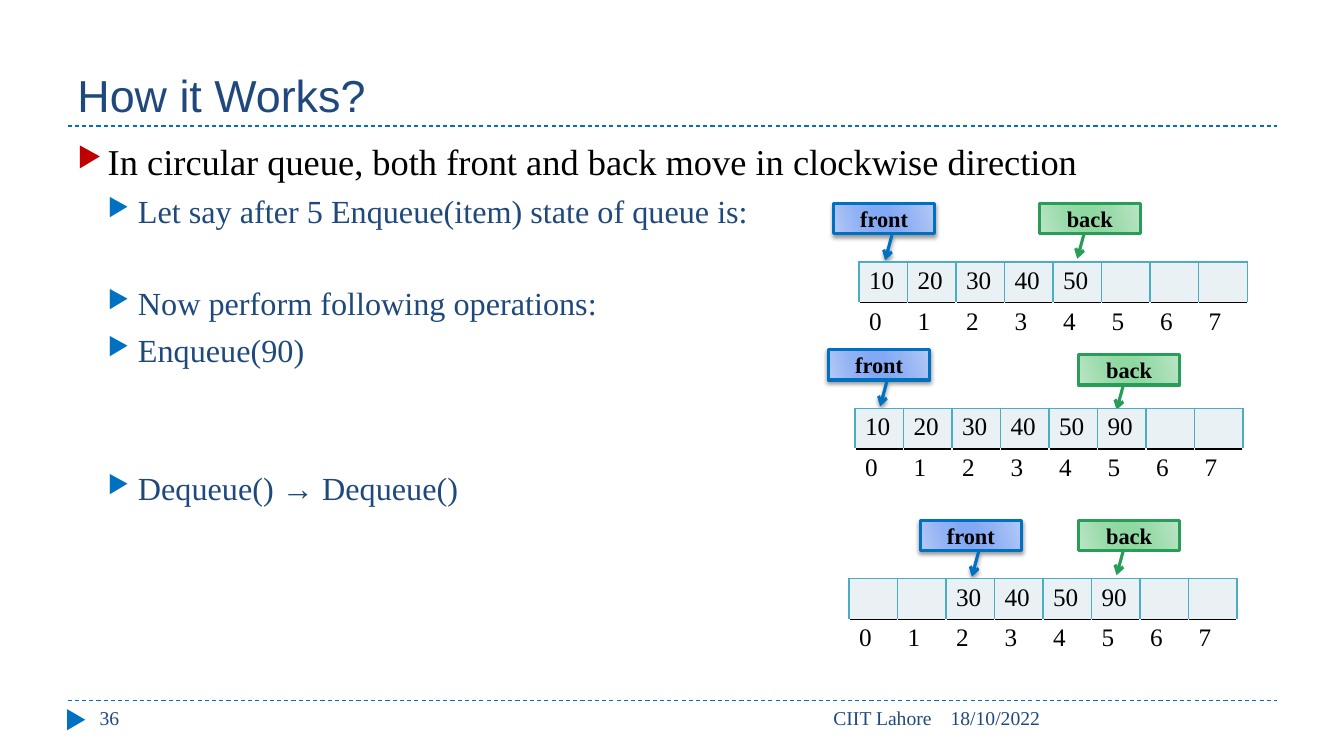
from lxml.etree import SubElement
from pptx import Presentation
from pptx.dml.color import RGBColor
from pptx.enum.dml import MSO_LINE
from pptx.enum.shapes import MSO_CONNECTOR, MSO_SHAPE
from pptx.enum.text import MSO_ANCHOR, PP_ALIGN
from pptx.oxml.ns import qn
from pptx.util import Inches, Pt

SERIF = "Times New Roman"
BLUE, NAVY, BLACK, RED = "0070C0", "1F497D", "000000", "C00000"
GREEN, TEAL, PALE = "279D57", "4BACC6", "E9F1F5"
FRONT_SHADES = ("B4C9F6", "90B1F4", "83A9F4")
BACK_SHADES = ("BBE4C5", "9BDBAB", "8FD8A1")
FRONT_POINTER = (1.043, 0.423, 1.874, 0.49)
BACK_POINTER = (0.994, 0.557, 1.824, 0.625)


def color(value):
    return RGBColor.from_string(value)


def element(parent, tag, **attributes):
    return SubElement(parent, qn(tag), {name: str(value) for name, value in attributes.items()})


class QueueSlide:
    """Draws the styled elements of the circular queue slide."""

    def __init__(self, slide):
        self.shapes = slide.shapes

    def span(self, para, text, size, ink, font=SERIF, bold=False):
        span = para.add_run()
        span.text = text
        span.font.name = font
        span.font.size = Pt(size)
        span.font.bold = bold
        span.font.color.rgb = color(ink)

    def box(self, left, top, width, height, anchor=MSO_ANCHOR.TOP):
        frame = self.shapes.add_textbox(Inches(left), Inches(top), Inches(width), Inches(height)).text_frame
        frame.word_wrap = True
        frame.vertical_anchor = anchor
        return frame

    def label(self, area, text, size, font=SERIF, align=PP_ALIGN.LEFT, anchor=MSO_ANCHOR.TOP):
        para = self.box(*area, anchor).paragraphs[0]
        para.alignment = align
        self.span(para, text, size, NAVY, font)

    def bullets(self, area, items):
        frame = self.box(*area)
        for index, (level, text, space) in enumerate(items):
            para = frame.add_paragraph() if index else frame.paragraphs[0]
            para.level = level
            if index:
                para.space_before = Pt(space)
            properties = para._p.get_or_add_pPr()
            properties.set("marL", str(Inches(0.3 * (level + 1))))
            properties.set("indent", str(Inches(-0.3)))
            tint = element(properties, "a:buClr")
            element(tint, "a:srgbClr", val=BLUE if level else RED)
            element(properties, "a:buSzPct", val=76000)
            element(properties, "a:buChar", char="▶")
            self.span(para, text, 23 if level else 26, NAVY if level else BLACK)

    def rule(self, top):
        line = self.shapes.add_connector(MSO_CONNECTOR.STRAIGHT, Inches(0.67), Inches(top), Inches(12.67), Inches(top))
        line.line.color.rgb = color(BLUE)
        line.line.width = Pt(0.75)
        line.line.dash_style = MSO_LINE.DASH
        element(line._element.spPr, "a:effectLst")

    def marker(self, left, top, width, height):
        triangle = self.shapes.add_shape(
            MSO_SHAPE.ISOSCELES_TRIANGLE, Inches(left), Inches(top), Inches(width), Inches(height))
        triangle.rotation = 90
        triangle.shadow.inherit = False
        triangle.fill.solid()
        triangle.fill.fore_color.rgb = color(BLUE)
        triangle.line.fill.background()

    def callout(self, left, top, text, shades, edge, pointer, shadow=False):
        shape = self.shapes.add_shape(
            MSO_SHAPE.LINE_CALLOUT_1, Inches(left), Inches(top), Inches(1), Inches(0.3))
        for index, value in enumerate(pointer):
            shape.adjustments[index] = value
        properties = shape._element.spPr
        properties.find(qn("a:xfrm")).set("flipH", "1")

        shape.fill.gradient()
        shape.fill.gradient_angle = 344
        stops = properties.find(qn("a:gradFill")).find(qn("a:gsLst"))
        for stop in list(stops):
            stops.remove(stop)
        for position, shade in zip((0, 30, 45, 55, 73, 100), shades + shades[::-1]):
            stop = element(stops, "a:gs", pos=position * 1000)
            element(stop, "a:srgbClr", val=shade)

        shape.line.color.rgb = color(edge)
        shape.line.width = Pt(2.25)
        element(properties.find(qn("a:ln")), "a:tailEnd", type="arrow")
        shape.shadow.inherit = False
        if shadow:
            outer = element(properties.find(qn("a:effectLst")), "a:outerShdw", blurRad=Pt(3),
                            dist=Pt(2), dir=90 * 60000, rotWithShape=0)
            element(element(outer, "a:srgbClr", val=BLACK), "a:alpha", val=40000)

        frame = shape.text_frame
        frame.vertical_anchor = MSO_ANCHOR.MIDDLE
        para = frame.paragraphs[0]
        para.alignment = PP_ALIGN.CENTER
        self.span(para, text, 16, BLACK, bold=True)

    def border(self, cell, side, ink):
        line = element(cell._tc.get_or_add_tcPr(), f"a:ln{side}", w=Pt(1))
        element(element(line, "a:solidFill"), "a:srgbClr", val=ink)

    def queue(self, left, top, items):
        table = self.shapes.add_table(
            2, len(items), Inches(left), Inches(top), Inches(3.85), Inches(0.81)).table
        table.first_row = False
        table.horz_banding = False
        for row in table.rows:
            row.height = Inches(0.405)
        for index, item in enumerate(items):
            table.columns[index].width = Inches(3.85 / len(items))
            slot, number = table.cell(0, index), table.cell(1, index)
            for side, ink in (("L", TEAL), ("R", TEAL), ("T", TEAL), ("B", BLACK)):
                self.border(slot, side, ink)
            self.border(number, "T", BLACK)
            slot.fill.solid()
            slot.fill.fore_color.rgb = color(PALE)
            number.fill.background()
            if item:
                self.span(slot.text_frame.paragraphs[0], item, 18, BLACK)
            self.span(number.text_frame.paragraphs[0], str(index), 18, BLACK)


def main():
    deck = Presentation()
    deck.slide_width, deck.slide_height = Inches(13.33), Inches(7.5)
    page = QueueSlide(deck.slides.add_slide(deck.slide_layouts[6]))

    for top in (6.95, 1.25):
        page.rule(top)
    page.marker(0.65, 7.05, 0.21, 0.18)
    page.label((0.67, 0.17, 12, 1.08), "How it Works?", 32, "Arial", anchor=MSO_ANCHOR.BOTTOM)
    page.label((9.33, 6.95, 3.34, 0.4), "18/10/2022", 14)
    page.label((4.23, 6.95, 5.11, 0.4), "CIIT Lahore", 14, align=PP_ALIGN.RIGHT)
    page.label((0.89, 6.95, 2.89, 0.4), "36", 14)
    page.bullets((0.67, 1.33, 12, 5.4), [
        (0, "In circular queue, both front and back move in clockwise direction", 0),
        (1, "Let say after 5 Enqueue(item) state of queue is:", 6),
        (1, "Now perform following operations:", 38.5),
        (1, "Enqueue(90)", 6),
        (1, "Dequeue() → Dequeue()", 71),
    ])

    states = [
        ((8.27, 2.02), (10.31, 2.02), (8.52, 2.6), ("10", "20", "30", "40", "50", "", "", "")),
        ((8.22, 3.47), (10.7, 3.52), (8.48, 4.05), ("10", "20", "30", "40", "50", "90", "", "")),
        ((9.13, 5.16), (10.7, 5.16), (8.42, 5.74), ("", "", "30", "40", "50", "90", "", "")),
    ]
    for front, back, corner, items in states:
        page.callout(*front, "front", FRONT_SHADES, BLUE, FRONT_POINTER, shadow=True)
        page.callout(*back, "back", BACK_SHADES, GREEN, BACK_POINTER)
        page.queue(*corner, items)

    deck.save("out.pptx")


if __name__ == "__main__":
    main()
